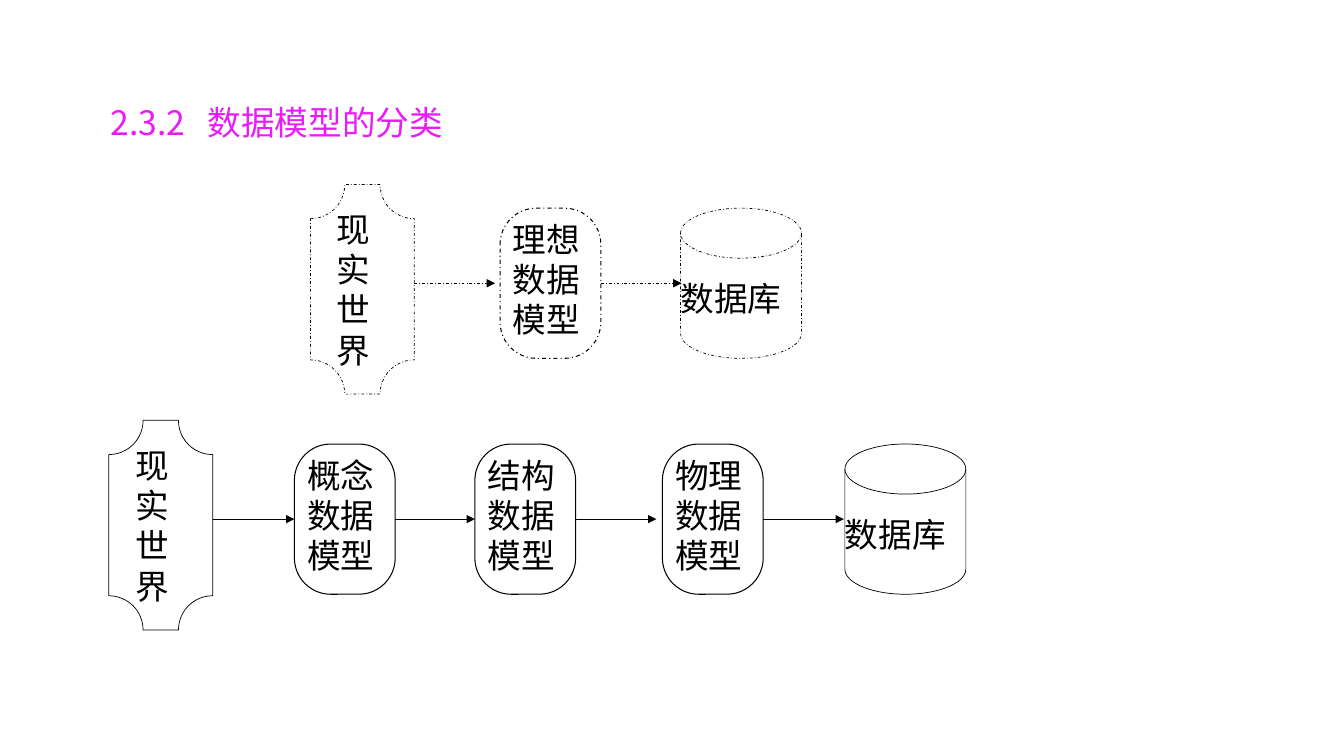
import dataclasses

import lxml.etree
import pptx
import pptx.dml.color
import pptx.enum.dml
import pptx.enum.shapes
import pptx.enum.text
import pptx.oxml.ns
import pptx.util

Inches = pptx.util.Inches
Pt = pptx.util.Pt
SHAPE = pptx.enum.shapes.MSO_SHAPE
DASH_DOT = pptx.enum.dml.MSO_LINE.DASH_DOT
qn = pptx.oxml.ns.qn


@dataclasses.dataclass(frozen=True)
class Theme:
    ink: str = "000000"
    paper: str = "FFFFFF"
    accent: str = "E91BF9"
    body_font: str = "Calibri"
    title_font: str = "Noto Sans CJK SC"
    size: float = 24
    thin: float = 0.5


@dataclasses.dataclass(frozen=True)
class Kind:
    shape: int
    width: float
    height: float
    line: float = 0.5
    drop: float = 0
    adj: float = None
    inset: float = 0.02
    before: float = None
    spacing: float = None


WORLD = Kind(SHAPE.PLAQUE, 1.03, 2.08, drop=0.06, adj=0.33)
MODEL = Kind(SHAPE.ROUNDED_RECTANGLE, 1, 1.49, line=0.75, adj=0.36)
STORE = Kind(SHAPE.FLOWCHART_MAGNETIC_DISK, 1.2, 1.49, inset=0, spacing=1.5)
ARROW = 0.8
JOIN_GAP = 0.82


def rgb(value):
    return pptx.dml.color.RGBColor.from_string(value)


def write(tf, text, font, size, color, inset=(0, 0, 0, 0), spacing=None, tab=None):
    tf.word_wrap = True
    tf.vertical_anchor = pptx.enum.text.MSO_ANCHOR.TOP
    tf.margin_left, tf.margin_top, tf.margin_right, tf.margin_bottom = map(Inches, inset)
    p = tf.paragraphs[0]
    p.alignment = pptx.enum.text.PP_ALIGN.LEFT
    if spacing:
        p.line_spacing = spacing
    if tab:
        tabs = lxml.etree.SubElement(p._p.get_or_add_pPr(), qn("a:tabLst"))
        lxml.etree.SubElement(tabs, qn("a:tab"), pos=str(Inches(tab)), algn="l")
    r = p.add_run()
    r.text = text
    r.font.name = font
    r.font.size = Pt(size)
    r.font.color.rgb = rgb(color)
    lxml.etree.SubElement(r._r.get_or_add_rPr(), qn("a:ea"), typeface=font)


class Board:
    def __init__(self, slide, theme):
        self.slide = slide
        self.theme = theme

    def title(self, text, left, top, width, height, tab):
        sp = self.slide.shapes.title
        sp.left, sp.top, sp.width, sp.height = map(Inches, (left, top, width, height))
        write(sp.text_frame, text, self.theme.title_font, self.theme.size,
              self.theme.accent, inset=(0.1, 0.05, 0.1, 0.05), tab=tab)
        sp.text_frame.auto_size = pptx.enum.text.MSO_AUTO_SIZE.NONE

    def outline(self, line, width, dash):
        line.color.rgb = rgb(self.theme.ink)
        line.width = Pt(width)
        if dash:
            line.dash_style = dash

    def stage(self, kind, left, mid, text, dash):
        top = mid + kind.drop - kind.height / 2
        sp = self.slide.shapes.add_shape(
            kind.shape, *map(Inches, (left, top, kind.width, kind.height)))
        if kind.adj:
            sp.adjustments[0] = kind.adj
        sp.shadow.inherit = False
        sp.fill.solid()
        sp.fill.fore_color.rgb = rgb(self.theme.paper)
        self.outline(sp.line, kind.line, dash)
        write(sp.text_frame, text, self.theme.body_font, self.theme.size,
              self.theme.ink, inset=(kind.inset, 0, 0, 0), spacing=kind.spacing)
        return sp

    def arrow(self, left, mid, dash, start=None, end=None):
        cx = self.slide.shapes.add_connector(
            pptx.enum.shapes.MSO_CONNECTOR.STRAIGHT,
            *map(Inches, (left, mid, left + ARROW, mid)))
        if start is not None:
            cx.begin_connect(start, 3)
        if end is not None:
            cx.end_connect(end, 1)
        self.outline(cx.line, self.theme.thin, dash)
        lxml.etree.SubElement(cx.line._get_or_add_ln(), qn("a:tailEnd"), type="triangle")
        lxml.etree.SubElement(cx._element.spPr, qn("a:effectLst"))

    def flow(self, mid, stages, dash=None):
        placed = [(kind, left, self.stage(kind, left, mid, text, dash))
                  for kind, left, text in stages]
        for (kind, left, sp), (next_kind, next_left, next_sp) in zip(placed, placed[1:]):
            right = left + kind.width
            joins = next_kind is MODEL and next_left - right < JOIN_GAP
            self.arrow(right, mid, dash,
                       start=sp if kind is MODEL else None,
                       end=next_sp if joins else None)


def main():
    prs = pptx.Presentation()
    prs.slide_width, prs.slide_height = Inches(13.33), Inches(7.5)
    board = Board(prs.slides.add_slide(prs.slide_layouts[5]), Theme())
    board.title("2.3.2\t数据模型的分类", 1, 0.96, 3.63, 0.5, tab=0.96)
    board.flow(5.15, [
        (WORLD, 1.08, "现实世界"),
        (MODEL, 2.92, "概念数据模型"),
        (MODEL, 4.71, "结构数据模型"),
        (MODEL, 6.57, "物理数据模型"),
        (STORE, 8.38, "数据库"),
    ])
    board.flow(2.81, [
        (WORLD, 3.08, "现实世界"),
        (MODEL, 4.96, "理想数据模型"),
        (STORE, 6.75, "数据库"),
    ], dash=DASH_DOT)
    prs.save("out.pptx")


if __name__ == "__main__":
    main()
